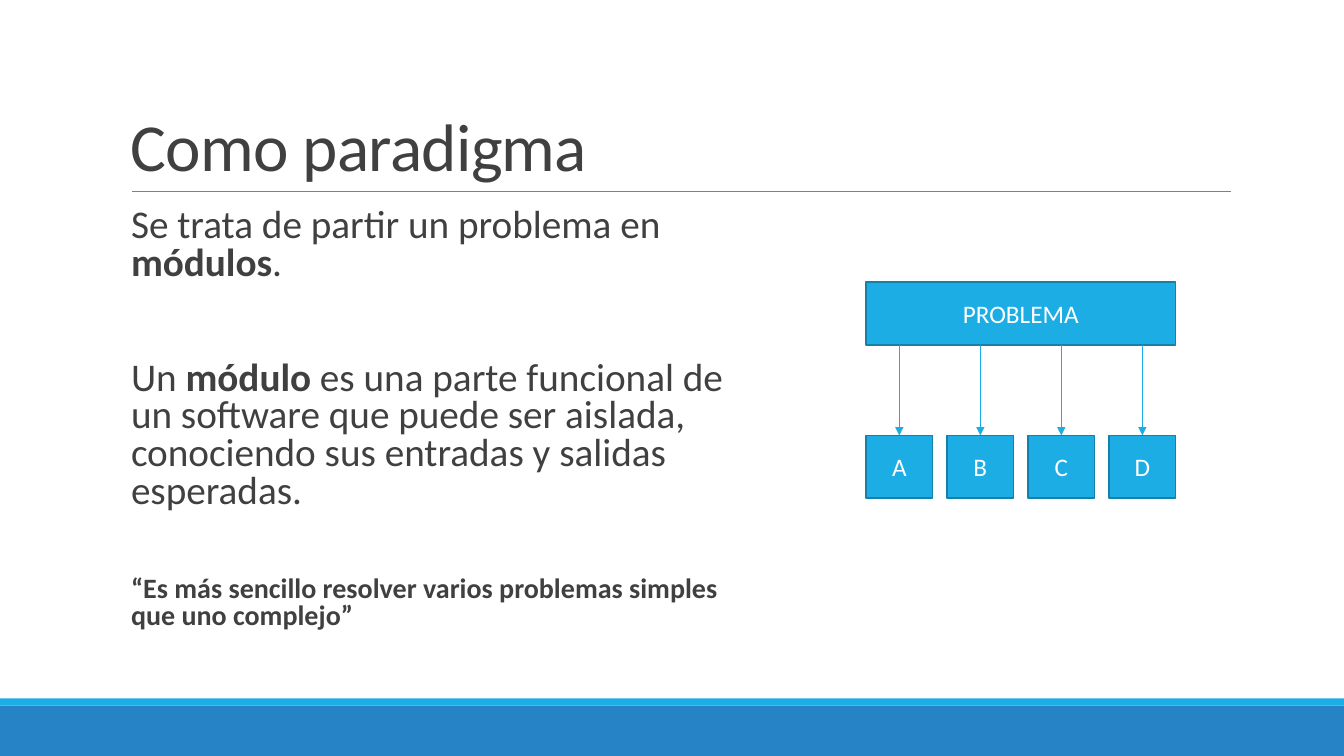
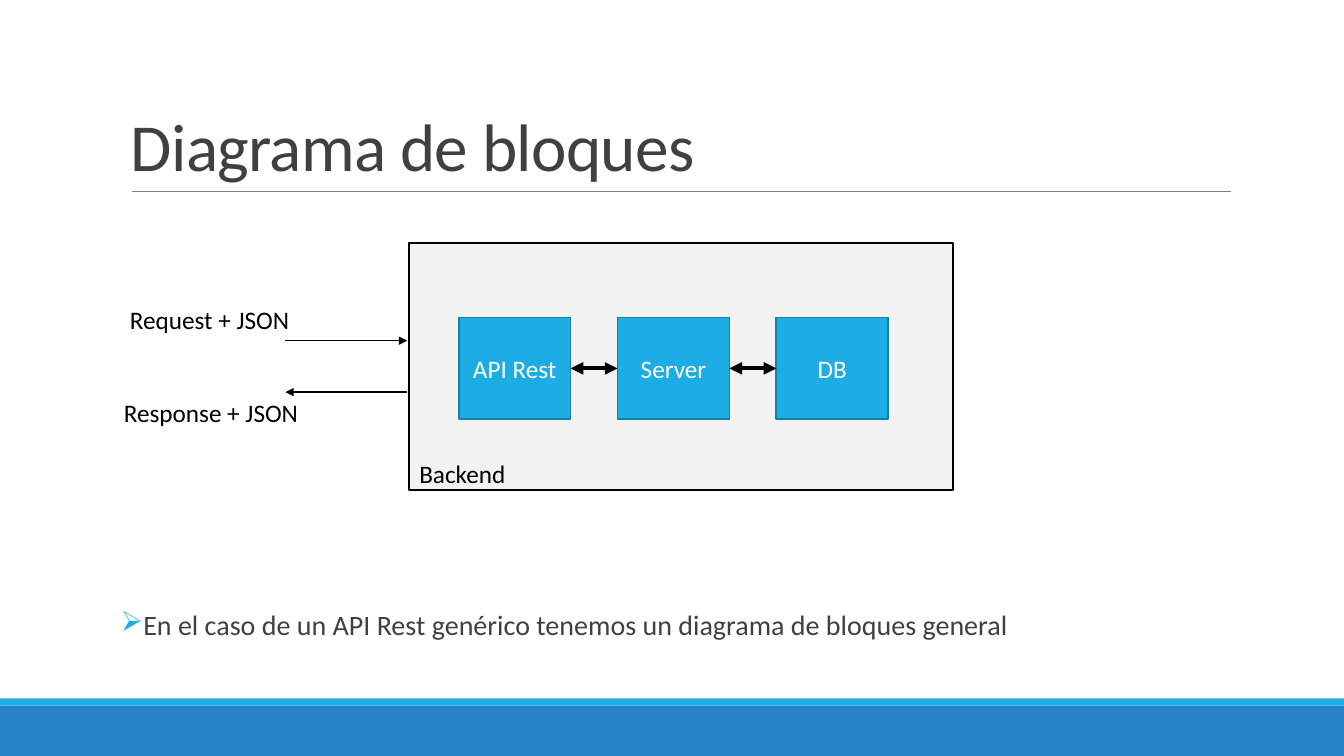
from dataclasses import dataclass

from lxml.etree import SubElement
from pptx import Presentation
from pptx.dml.color import RGBColor
from pptx.enum.shapes import MSO_CONNECTOR, MSO_SHAPE
from pptx.enum.text import MSO_ANCHOR, PP_ALIGN
from pptx.oxml.ns import qn
from pptx.util import Inches, Pt


@dataclass(frozen=True)
class Theme:
    font: str = "Calibri"
    accent: str = "1CADE4"
    accent_edge: str = "1580A9"
    footer: str = "2683C6"
    rule: str = "808080"
    panel: str = "F2F2F2"
    text: str = "404040"
    black: str = "000000"
    white: str = "FFFFFF"
    title_size: int = 48
    body_size: int = 28
    note_size: int = 20
    label_size: int = 18
    edge_width: float = 1.25


THEME = Theme()


def format_run(run, size, color, bold=False):
    run.font.name = THEME.font
    run.font.size = Pt(size)
    run.font.bold = bold
    run.font.color.rgb = RGBColor.from_string(color)


def add_box(slide, left, top, width, height, fill, edge=None):
    shape = slide.shapes.add_shape(
        MSO_SHAPE.RECTANGLE, Inches(left), Inches(top), Inches(width), Inches(height))
    shape.shadow.inherit = False
    shape.fill.solid()
    shape.fill.fore_color.rgb = RGBColor.from_string(fill)
    if edge:
        shape.line.color.rgb = RGBColor.from_string(edge)
        shape.line.width = Pt(THEME.edge_width)
    else:
        shape.line.fill.background()
    return shape


def set_label(shape, text, color, alignment=PP_ALIGN.CENTER, anchor=MSO_ANCHOR.MIDDLE):
    frame = shape.text_frame
    frame.text = text
    frame.vertical_anchor = anchor
    paragraph = frame.paragraphs[0]
    paragraph.alignment = alignment
    format_run(paragraph.runs[0], THEME.label_size, color)


def add_block(slide, text, left, top, width, height):
    block = add_box(slide, left, top, width, height, THEME.accent, THEME.accent_edge)
    set_label(block, text, THEME.white)
    return block


def add_block_row(slide, labels, left, top, row_width, width, height):
    pitch = (row_width - width) / (len(labels) - 1)
    return [add_block(slide, label, left + index * pitch, top, width, height)
            for index, label in enumerate(labels)]


def add_line(slide, start, end, color, width, heads=()):
    line = slide.shapes.add_connector(
        MSO_CONNECTOR.STRAIGHT, *[Inches(value) for value in (*start, *end)])
    line.line.color.rgb = RGBColor.from_string(color)
    line.line.width = Pt(width)
    for head in heads:
        SubElement(line.line._get_or_add_ln(), qn(f"a:{head}"), type="triangle")
    SubElement(line._element.spPr, qn("a:effectLst"))
    return line


def add_text_box(slide, left, top, width, height, wrap=True):
    box = slide.shapes.add_textbox(Inches(left), Inches(top), Inches(width), Inches(height))
    box.text_frame.word_wrap = wrap
    return box


def add_body(slide, left, top, width, height):
    frame = add_text_box(slide, left, top, width, height).text_frame
    frame.margin_left = frame.margin_right = 0
    return frame


def fill_paragraph(paragraph, parts, size, line_spacing, space_before=12, bullet=None):
    for text, bold in parts:
        run = paragraph.add_run()
        run.text = text
        format_run(run, size, THEME.text, bold)
    paragraph.line_spacing = line_spacing
    paragraph.space_before = Pt(space_before)
    paragraph.space_after = Pt(2)
    properties = paragraph._p.get_or_add_pPr()
    properties.set("marL", str(Inches(0.1)))
    properties.set("indent", str(Inches(-0.1) if bullet else 0))
    if bullet:
        bullet_color = SubElement(properties, qn("a:buClr"))
        SubElement(bullet_color, qn("a:srgbClr"), val=THEME.accent)
        SubElement(properties, qn("a:buChar"), char=bullet)


def add_titled_slide(presentation, title):
    slide = presentation.slides.add_slide(presentation.slide_layouts[6])
    add_box(slide, 0, 7, 13.33, 0.5, THEME.footer)
    add_box(slide, 0, 6.93, 13.33, 0.07, THEME.accent)
    add_line(slide, (1.31, 1.9), (12.21, 1.9), THEME.rule, 0.5)
    frame = add_text_box(slide, 1.2, 0.3, 11, 1.59).text_frame
    frame.vertical_anchor = MSO_ANCHOR.BOTTOM
    frame.text = title
    paragraph = frame.paragraphs[0]
    paragraph.line_spacing = 0.85
    run = paragraph.runs[0]
    format_run(run, THEME.title_size, THEME.text)
    run._r.get_or_add_rPr().set("spc", "-50")
    return slide


def build_paradigm_slide(presentation):
    slide = add_titled_slide(presentation, "Como paradigma")
    statements = [
        ([("Se trata de partir un problema en ", False), ("módulos", True), (".", False)],
         THEME.body_size, 12),
        ([("Un ", False), ("módulo", True),
          (" es una parte funcional de un software que puede ser aislada, "
           "conociendo sus entradas y salidas esperadas.", False)],
         THEME.body_size, 53),
        ([("“Es más sencillo resolver varios problemas simples que uno complejo”", True)],
         THEME.note_size, 45),
    ]
    frame = add_body(slide, 1.2, 2.02, 6.07, 4.4)
    for index, (parts, size, space_before) in enumerate(statements):
        paragraph = frame.add_paragraph() if index else frame.paragraphs[0]
        fill_paragraph(paragraph, parts, size, 0.8, space_before)

    add_block(slide, "PROBLEMA", 8.59, 2.8, 3.07, 0.62)
    for module in add_block_row(slide, "ABCD", 8.59, 4.32, 3.07, 0.66, 0.62):
        center = (module.left + module.width / 2) / Inches(1)
        arrow = add_line(slide, (center, 3.42), (center, 4.32), THEME.accent, 1, ["tailEnd"])
        arrow.end_connect(module, 0)


def build_block_diagram_slide(presentation):
    slide = add_titled_slide(presentation, "Diagrama de bloques")
    backend = add_box(slide, 4.06, 2.41, 5.39, 2.45, THEME.panel, THEME.black)
    set_label(backend, "Backend", THEME.black, PP_ALIGN.LEFT, MSO_ANCHOR.BOTTOM)
    backend.text_frame.margin_bottom = Inches(0.01)

    blocks = add_block_row(slide, ["API Rest", "Server", "DB"], 4.55, 3.15, 4.26, 1.11, 1.01)
    for source, target in zip(blocks, blocks[1:]):
        arrow = add_line(slide, (0, 0), (1, 1), THEME.black, 3, ["headEnd", "tailEnd"])
        arrow.begin_connect(source, 3)
        arrow.end_connect(target, 1)

    add_line(slide, (2.83, 3.38), (4.04, 3.38), THEME.black, 1, ["tailEnd"])
    add_line(slide, (4.04, 3.89), (2.83, 3.89), THEME.black, 1, ["tailEnd"])
    for text, left, top, width in [("Request + JSON", 1.19, 2.97, 1.8),
                                   ("Response + JSON", 1.13, 3.89, 1.95)]:
        label = add_text_box(slide, left, top, width, 0.4, wrap=False)
        set_label(label, text, THEME.black, PP_ALIGN.LEFT, MSO_ANCHOR.TOP)

    frame = add_body(slide, 1.2, 6.02, 11.49, 0.67)
    caption = "En el caso de un API Rest genérico tenemos un diagrama de bloques general"
    fill_paragraph(frame.paragraphs[0], [(caption, False)], THEME.note_size, 0.9, bullet="➢")


def main():
    presentation = Presentation()
    presentation.slide_width = Inches(13.33)
    presentation.slide_height = Inches(7.5)
    build_paradigm_slide(presentation)
    build_block_diagram_slide(presentation)
    presentation.save("out.pptx")


if __name__ == "__main__":
    main()
